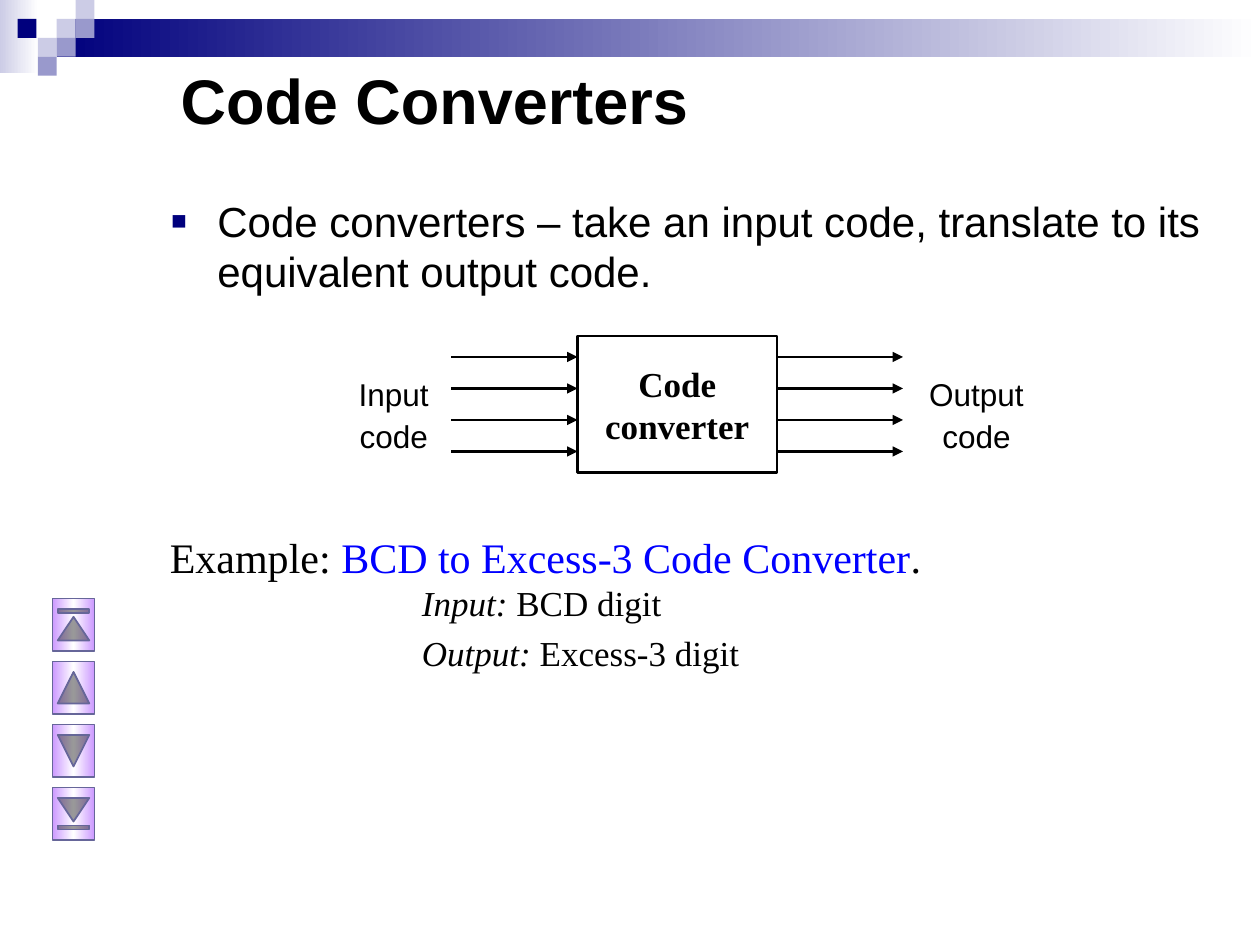
from copy import deepcopy

from lxml import etree
from pptx import Presentation
from pptx.dml.color import RGBColor
from pptx.enum import shapes as sh, text as tx
from pptx.oxml.ns import qn
from pptx.util import Pt

SANS, SERIF = "Arial", "Times New Roman"
BLACK, BLUE, NAVY = "000000", "0000FF", "00007D"
PALE, MID = "CCCCE6", "9999CC"
LEFT, MIDDLE = tx.PP_ALIGN.LEFT, tx.PP_ALIGN.CENTER


def rgb(code):
    return RGBColor.from_string(code)


def place(shape, x, y, w, h):
    shape.left, shape.top, shape.width, shape.height = Pt(x), Pt(y), Pt(w), Pt(h)


def paint(fill, *codes, angle=0):
    """Fill with one colour, or with a gradient of evenly spaced colours."""
    if len(codes) == 1:
        fill.solid()
        fill.fore_color.rgb = rgb(codes[0])
        return
    fill.gradient()
    fill.gradient_angle = angle
    last = fill.gradient_stops[-1]._gs
    for _ in codes[2:]:
        last.addnext(deepcopy(last))
    for i, (stop, code) in enumerate(zip(fill.gradient_stops, codes)):
        stop.color.rgb = rgb(code)
        stop.position = i / (len(codes) - 1)


def block(slide, kind, x, y, w, h, *codes, line=None, width=1, angle=0):
    shape = slide.shapes.add_shape(kind, Pt(x), Pt(y), Pt(w), Pt(h))
    shape.shadow.inherit = False
    if codes:
        paint(shape.fill, *codes, angle=angle)
    else:
        shape.fill.background()
    if line:
        shape.line.color.rgb = rgb(line)
        shape.line.width = Pt(width)
    else:
        shape.line.fill.background()
    return shape


def arrow(slide, x, y, length):
    line = slide.shapes.add_connector(
        sh.MSO_CONNECTOR.STRAIGHT, Pt(x), Pt(y), Pt(x + length), Pt(y))
    line.line.color.rgb = rgb(BLACK)
    line.line.width = Pt(1.25)
    etree.SubElement(line.line._get_or_add_ln(), qn("a:tailEnd"), type="triangle")
    etree.SubElement(line._element.spPr, qn("a:effectLst"))


def bullet(para, char, code, size, indent):
    props = para._p.get_or_add_pPr()
    props.set("marL", str(Pt(indent)))
    props.set("indent", str(-Pt(indent)))
    tint = etree.SubElement(props, qn("a:buClr"))
    etree.SubElement(tint, qn("a:srgbClr"), val=code)
    etree.SubElement(props, qn("a:buSzPct"), val=str(size * 1000))
    etree.SubElement(props, qn("a:buFont"), typeface=SANS)
    etree.SubElement(props, qn("a:buChar"), char=char)


def write(frame, *paras, size=18, face=SANS, bold=False, align=LEFT,
          gap=0, anchor=tx.MSO_ANCHOR.TOP):
    """Write paragraphs; each is a string or a list of (text, format) runs."""
    frame.word_wrap = True
    frame.auto_size = tx.MSO_AUTO_SIZE.NONE
    frame.vertical_anchor = anchor
    for i, runs in enumerate(paras):
        para = frame.add_paragraph() if i else frame.paragraphs[0]
        para.alignment = align
        para.space_before = Pt(gap if i else 0)
        for words, form in [(runs, {})] if isinstance(runs, str) else runs:
            run = para.add_run()
            run.text = words
            font = run.font
            font.name, font.bold = face, bold
            font.size = Pt(form.get("size", size))
            font.italic = form.get("italic", False)
            font.color.rgb = rgb(form.get("color", BLACK))
    return frame.paragraphs


def label(slide, x, y, w, h, *paras, **form):
    box = slide.shapes.add_textbox(Pt(x), Pt(y), Pt(w), Pt(h))
    return write(box.text_frame, *paras, **form)


def banner(slide):
    rect, side = sh.MSO_SHAPE.RECTANGLE, 10.8
    block(slide, rect, 0, 0, 22, 42, PALE, "FFFFFF")
    block(slide, rect, 32.4, side, 687.6, 2 * side, NAVY, "FFFFFF")
    tiles = [(3, 1, PALE), (4, 0, PALE), (4, 1, MID), (2, 2, PALE),
             (0.93, 1, NAVY), (3, 2, MID), (2, 3, MID)]
    for col, row, code in tiles:
        block(slide, rect, col * side, row * side, side, side, code)


def heading(slide):
    title, body = slide.placeholders
    place(title, 96, 12, 612, 90)
    write(title.text_frame, "Code Converters", size=36, bold=True,
          anchor=tx.MSO_ANCHOR.MIDDLE)
    place(body, 90, 108, 612, 72)
    paras = write(body.text_frame, "Code converters – take an input code, "
                  "translate to its equivalent output code.", size=24)
    bullet(paras[0], "▪", NAVY, 120, 27)


def diagram(slide):
    box = block(slide, sh.MSO_SHAPE.RECTANGLE, 330, 192, 114, 78,
                line=BLACK, width=1.5)
    write(box.text_frame, "Code", "converter", size=20, face=SERIF, bold=True,
          align=MIDDLE, anchor=tx.MSO_ANCHOR.MIDDLE)
    for x in (258, 444):
        for row in range(4):
            arrow(slide, x, 204 + 18 * row, 72)
    for x, w, name in ((192, 66, "Input"), (522, 72, "Output")):
        label(slide, x, 211, w, 52, name, "code", align=MIDDLE, gap=2.2)


def example(slide):
    slant = {"size": 20, "italic": True}
    plain = {"size": 20}
    paras = label(
        slide, 90, 300, 606, 108,
        [("Example: ", {}), ("BCD to Excess-3 Code Converter", {"color": BLUE}),
         (".", {})],
        [("Input:", slant), (" BCD digit", plain)],
        [("Output:", slant), (" Excess-3 digit", plain)],
        size=24, face=SERIF)
    for para in paras[1:]:
        para._p.get_or_add_pPr().set("marL", str(Pt(144)))
    paras[2].space_before = Pt(4.6)


def buttons(slide):
    kind = sh.MSO_SHAPE
    kinds = (kind.ACTION_BUTTON_BEGINNING, kind.ACTION_BUTTON_BACK_OR_PREVIOUS,
             kind.ACTION_BUTTON_FORWARD_OR_NEXT, kind.ACTION_BUTTON_END)
    for row, form in enumerate(kinds):
        key = block(slide, form, 27, 345 + 36 * row, 30, 24,
                    "CC99FF", "FFFFFF", "CC99FF", line="666699", angle=90)
        key.rotation = 90


def main():
    deck = Presentation()
    deck.slide_width, deck.slide_height = Pt(720), Pt(540)
    slide = deck.slides.add_slide(deck.slide_layouts[1])
    banner(slide)
    heading(slide)
    diagram(slide)
    example(slide)
    buttons(slide)
    deck.save("out.pptx")


if __name__ == "__main__":
    main()
